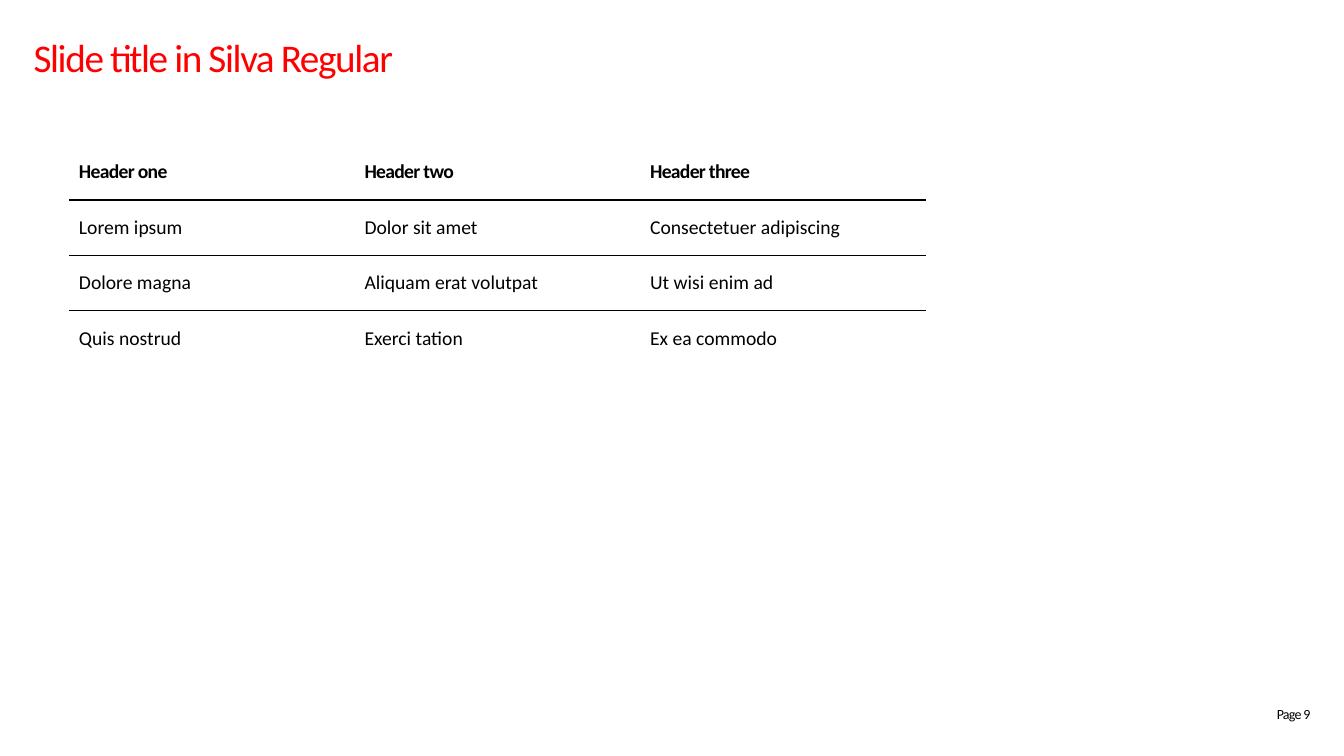
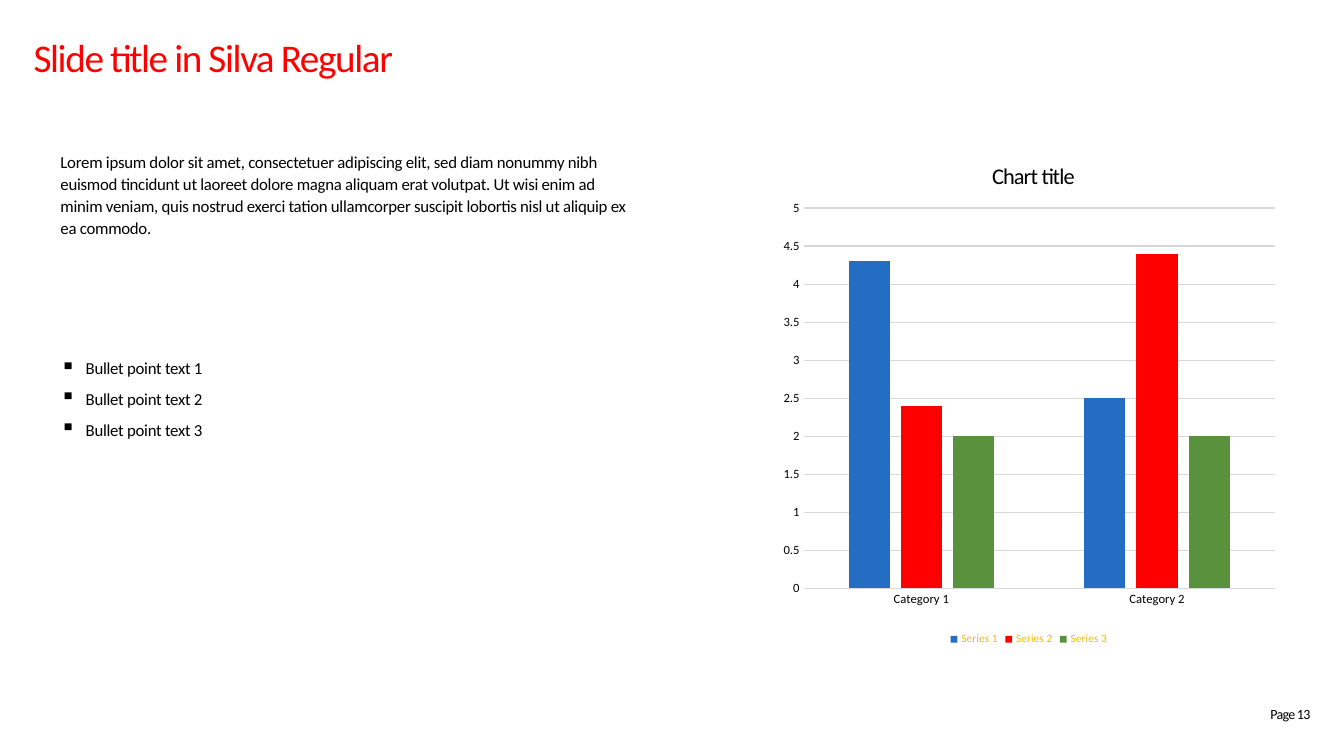
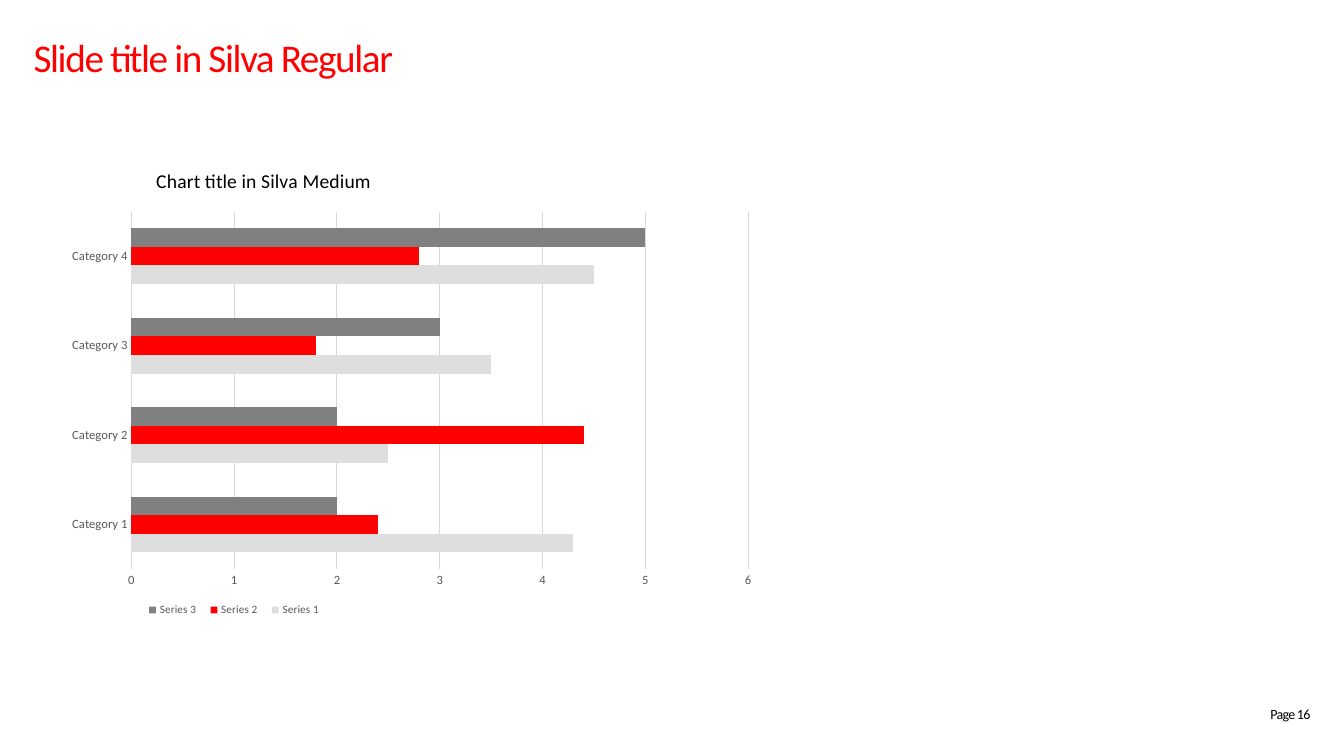
import pptx
import pptx.chart.data
import pptx.dml.color
import pptx.enum.chart
import pptx.enum.text
import pptx.oxml
import pptx.oxml.ns
import pptx.util

RGBColor = pptx.dml.color.RGBColor
BLACK = RGBColor(0x00, 0x00, 0x00)
WHITE = RGBColor(0xFF, 0xFF, 0xFF)
RED = RGBColor(0xFF, 0x00, 0x00)
BLUE = RGBColor(0x23, 0x6E, 0xC3)
GREEN = RGBColor(0x5A, 0x91, 0x3D)
GOLD = RGBColor(0xF0, 0xBC, 0x00)
PALE_GRAY = RGBColor(0xDE, 0xDE, 0xDE)
GRID_GRAY = RGBColor(0xD9, 0xD9, 0xD9)
MID_GRAY = RGBColor(0x80, 0x80, 0x80)
DARK_GRAY = RGBColor(0x59, 0x59, 0x59)

FONT = "Calibri"
COLUMNS, ROWS = 80, 45
TITLE_BOX = (2, 2, 76, 2.8)
PAGE_BOX = (60, 42, 18, 1)
TITLE = "Slide title in Silva Regular"

ANCHOR = pptx.enum.text.MSO_ANCHOR
ALIGN = pptx.enum.text.PP_ALIGN
CHART_TYPE = pptx.enum.chart.XL_CHART_TYPE


def element_from(xml):
    tag_end = xml.index(" ") if " " in xml else xml.index("/")
    prefix = xml[1:tag_end].split(":")[0]
    namespaces = pptx.oxml.ns.nsdecls(prefix)
    return pptx.oxml.parse_xml(f"{xml[:tag_end]} {namespaces}{xml[tag_end:]}")


class Deck:
    def __init__(self):
        self.presentation = pptx.Presentation()
        self.presentation.slide_width = pptx.util.Inches(13.33)
        self.presentation.slide_height = pptx.util.Inches(7.5)
        self.slide = None

    def box(self, column, row, width, height):
        cell_width = self.presentation.slide_width / COLUMNS
        cell_height = self.presentation.slide_height / ROWS
        return (round(column * cell_width), round(row * cell_height),
                round(width * cell_width), round(height * cell_height))

    def style(self, font, size, color=BLACK, bold=False):
        font.name = FONT
        font.size = pptx.util.Pt(size)
        font.bold = bold
        font.color.rgb = color

    def style_paragraph(self, paragraph, size, color=BLACK, bold=False, spacing=0):
        self.style(paragraph.font, size, color, bold)
        properties = paragraph._p.pPr.find(pptx.oxml.ns.qn("a:defRPr"))
        for target in [properties] + [run._r.get_or_add_rPr() for run in paragraph.runs]:
            target.set("spc", str(round(spacing * 100)))

    def prepare_frame(self, frame, anchor):
        frame.word_wrap = True
        frame.auto_size = pptx.enum.text.MSO_AUTO_SIZE.NONE
        frame.vertical_anchor = anchor
        frame.margin_left = frame.margin_right = 0
        frame.margin_top = frame.margin_bottom = 0

    def new_slide(self, page):
        self.slide = self.presentation.slides.add_slide(self.presentation.slide_layouts[5])
        title = self.slide.shapes.title
        title.left, title.top, title.width, title.height = self.box(*TITLE_BOX)
        title.text_frame.text = TITLE
        self.prepare_frame(title.text_frame, ANCHOR.TOP)
        paragraph = title.text_frame.paragraphs[0]
        paragraph.alignment = ALIGN.LEFT
        self.style_paragraph(paragraph, 28, RED, spacing=-1)
        self.page_label(page)

    def page_label(self, page):
        frame = self.slide.shapes.add_textbox(*self.box(*PAGE_BOX)).text_frame
        frame.text = f"Page {page}"
        self.prepare_frame(frame, ANCHOR.MIDDLE)
        frame.paragraphs[0].alignment = ALIGN.RIGHT
        self.style_paragraph(frame.paragraphs[0], 10, spacing=-0.5)

    def body(self, place, lines, bulleted=False):
        frame = self.slide.shapes.add_textbox(*self.box(*place)).text_frame
        frame.text = "\n".join(lines)
        self.prepare_frame(frame, ANCHOR.TOP)
        for paragraph in frame.paragraphs:
            paragraph.line_spacing = 1.1
            paragraph.space_after = pptx.util.Pt(6)
            if bulleted:
                self.bullet(paragraph)
            self.style_paragraph(paragraph, 12, spacing=-0.2)

    def bullet(self, paragraph):
        properties = paragraph._p.get_or_add_pPr()
        indent = pptx.util.Inches(0.25)
        properties.set("marL", str(indent))
        properties.set("indent", str(-indent))
        properties.append(element_from('<a:buSzPct val="125000"/>'))
        properties.append(element_from('<a:buChar char="▪"/>'))

    def table(self, place, rows):
        frame = self.slide.shapes.add_table(len(rows), len(rows[0]), *self.box(*place))
        table = frame.table
        table.first_row = False
        table.horz_banding = False
        last = len(rows) - 1
        for row_index, row in enumerate(rows):
            header = row_index == 0
            for column_index, text in enumerate(row):
                cell = table.cell(row_index, column_index)
                cell.text = text
                cell.vertical_anchor = ANCHOR.MIDDLE
                self.style_paragraph(cell.text_frame.paragraphs[0], 14, bold=header,
                                     spacing=-0.5 if header else 0)
                self.borders(cell, top=WHITE if header else BLACK,
                             bottom=WHITE if row_index == last else BLACK)
                cell.fill.background()

    def borders(self, cell, top, bottom):
        properties = cell._tc.get_or_add_tcPr()
        for side, color in (("L", None), ("R", None), ("T", top), ("B", bottom)):
            fill = f'<a:solidFill><a:srgbClr val="{color}"/></a:solidFill>' if color else "<a:noFill/>"
            properties.append(element_from(
                f'<a:ln{side} w="{pptx.util.Pt(1)}">{fill}</a:ln{side}>'))

    def layout_before(self, anchor, inner=False, **shares):
        parent = anchor.getparent()
        for old in parent.findall(pptx.oxml.ns.qn("c:layout")):
            parent.remove(old)
        target = '<c:layoutTarget val="inner"/>' if inner else ""
        modes = "".join(f'<c:{name}Mode val="edge"/>' for name in "xy")
        values = "".join(f'<c:{name} val="{share}"/>' for name, share in shares.items())
        namespaces = pptx.oxml.ns.nsdecls("c")
        anchor.addprevious(pptx.oxml.parse_xml(
            f"<c:layout {namespaces}><c:manualLayout>{target}{modes}{values}"
            "</c:manualLayout></c:layout>"))

    def chart(self, place, kind, title, categories, series, gap, overlap, maximum, unit,
              plot, title_at, title_size, title_spacing, axis_color, legend_color, legend_at=None):
        data = pptx.chart.data.CategoryChartData()
        data.categories = categories
        for name, values, color in series:
            data.add_series(name, values)
        chart = self.slide.shapes.add_chart(kind, *self.box(*place), data).chart
        self.style(chart.font, 10)

        chart.has_title = True
        frame = chart.chart_title.text_frame
        frame.text = title
        self.style_paragraph(frame.paragraphs[0], title_size, spacing=title_spacing)
        overlay = pptx.oxml.ns.qn("c:overlay")
        self.layout_before(chart.chart_title._element.find(overlay), **title_at)

        bars = chart.plots[0]
        bars.vary_by_categories = False
        bars.gap_width = gap
        bars.overlap = overlap
        for bar, (name, values, color) in zip(bars.series, series):
            bar.format.fill.solid()
            bar.format.fill.fore_color.rgb = color
        self.layout_before(bars._element, inner=True, **plot)

        for axis in (chart.category_axis, chart.value_axis):
            axis.major_tick_mark = pptx.enum.chart.XL_TICK_MARK.NONE
            axis.minor_tick_mark = pptx.enum.chart.XL_TICK_MARK.NONE
            self.style(axis.tick_labels.font, 9, axis_color)
        chart.value_axis.minimum_scale = 0
        chart.value_axis.maximum_scale = maximum
        chart.value_axis.major_unit = unit
        chart.value_axis.format.line.fill.background()
        for line in (chart.category_axis.format.line,
                     chart.value_axis.major_gridlines.format.line):
            line.color.rgb = GRID_GRAY
            line.width = pptx.util.Pt(0.75)

        chart.has_legend = True
        legend = chart.legend
        legend.position = pptx.enum.chart.XL_LEGEND_POSITION.BOTTOM
        legend.include_in_layout = False
        self.style(legend.font, 8, legend_color)
        if legend_at:
            self.layout_before(legend._element.find(overlay), **legend_at)


def main():
    deck = Deck()

    deck.new_slide(9)
    deck.table((4.1, 8.6, 51, 13.2), [
        ("Header one", "Header two", "Header three"),
        ("Lorem ipsum", "Dolor sit amet", "Consectetuer adipiscing"),
        ("Dolore magna", "Aliquam erat volutpat", "Ut wisi enim ad"),
        ("Quis nostrud", "Exerci tation", "Ex ea commodo"),
    ])

    deck.new_slide(13)
    deck.body((3.6, 8.9, 33.8, 11), [
        "Lorem ipsum dolor sit amet, consectetuer adipiscing elit, sed diam nonummy nibh "
        "euismod tincidunt ut laoreet dolore magna aliquam erat volutpat. Ut wisi enim ad "
        "minim veniam, quis nostrud exerci tation ullamcorper suscipit lobortis nisl ut "
        "aliquip ex ea commodo."])
    deck.body((3.6, 21.2, 37.6, 11),
              [f"Bullet point text {number}" for number in range(1, 4)], bulleted=True)
    deck.chart(
        (46, 8.1, 30.5, 30.6), CHART_TYPE.COLUMN_CLUSTERED, "Chart title",
        ["Category 1", "Category 2"],
        [("Series 1", (4.3, 2.5), BLUE),
         ("Series 2", (2.4, 4.4), RED),
         ("Series 3", (2, 2), GREEN)],
        gap=219, overlap=-27, maximum=5, unit=0.5,
        plot={"x": 0.06, "y": 0.14, "w": 0.92, "h": 0.74},
        title_at={"x": 0.42, "y": 0.04}, title_size=16, title_spacing=-0.5,
        axis_color=BLACK, legend_color=GOLD)

    deck.new_slide(16)
    deck.chart(
        (3.6, 8.9, 42.2, 28.4), CHART_TYPE.BAR_CLUSTERED, "Chart title in Silva Medium",
        [f"Category {number}" for number in range(1, 5)],
        [("Series 1", (4.3, 2.5, 3.5, 4.5), PALE_GRAY),
         ("Series 2", (2.4, 4.4, 1.8, 2.8), RED),
         ("Series 3", (2, 2, 3, 5), MID_GRAY)],
        gap=182, overlap=0, maximum=6, unit=1,
        plot={"x": 0.1, "y": 0.13, "w": 0.87, "h": 0.75},
        title_at={"x": 0.13, "y": 0.03}, title_size=14, title_spacing=0,
        axis_color=DARK_GRAY, legend_color=DARK_GRAY,
        legend_at={"x": 0.11, "y": 0.94, "w": 0.27, "h": 0.05})

    deck.presentation.save("out.pptx")


if __name__ == "__main__":
    main()
